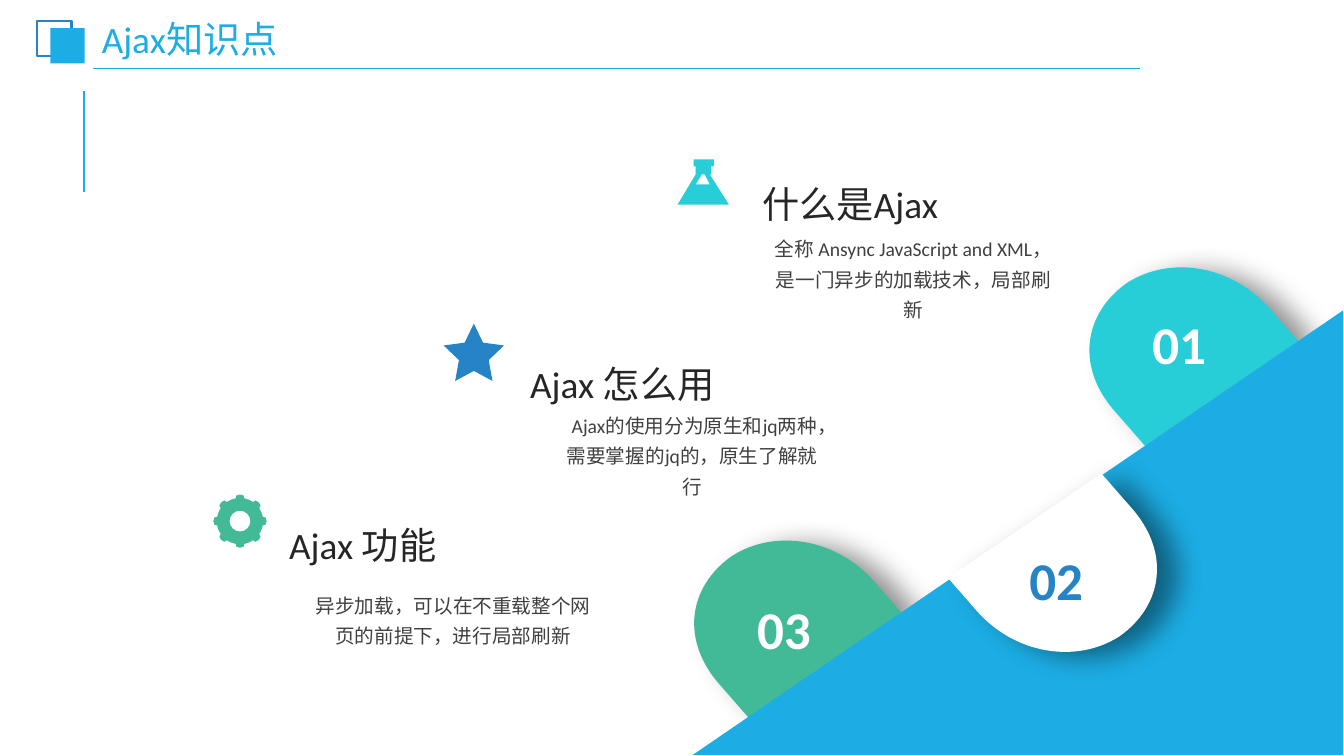
from dataclasses import dataclass
from math import cos, pi, sin

from lxml import etree
from pptx import Presentation
from pptx.dml.color import RGBColor
from pptx.enum.shapes import MSO_CONNECTOR, MSO_SHAPE
from pptx.enum.text import MSO_ANCHOR, MSO_AUTO_SIZE, PP_ALIGN
from pptx.oxml import parse_xml
from pptx.oxml.ns import nsdecls, qn
from pptx.util import Inches, Pt

Point = tuple[float, float]
Segment = tuple[Point, ...]  # one point: line; three points: cubic curve
Contour = list[Segment]      # the first segment is the starting point

COLOURS = {
    "sky": "1CADE4", "blue": "2683C6", "teal": "27CED7", "green": "42BA97",
    "white": "FFFFFF", "heading": "262626", "body": "404040",
}

# Slide grid: 133.3 columns by 75 rows of square cells
prs = Presentation()
prs.slide_width, prs.slide_height = Inches(13.33), Inches(7.5)
CELL = prs.slide_height / 75
s = prs.slides.add_slide(prs.slide_layouts[6])


@dataclass
class Topic:
    heading: str
    heading_at: tuple[float, float, float, float]
    body: str
    body_at: tuple[float, float, float, float]


@dataclass
class Drop:
    col: float
    row: float
    angle: float
    colour: str


@dataclass
class Number:
    text: str
    col: float
    row: float
    colour: str
    fill: str | None = None


TOPICS = [
    Topic("什么是Ajax", (74.6, 16.6, 32.9, 6),
          "全称 Ansync JavaScript and XML，是一门异步的加载技术，局部刷新",
          (75.5, 22.4, 30.2, 9.9)),
    Topic("Ajax 怎么用", (51.6, 34.5, 34, 6),
          " Ajax的使用分为原生和jq两种，需要掌握的jq的，原生了解就行",
          (54.9, 39.95, 27.5, 9.9)),
    Topic("Ajax 功能", (27.7, 50.45, 35.5, 6),
          "异步加载，可以在不重载整个网页的前提下，进行局部刷新",
          (30.3, 57.8, 29.3, 6.8)),
]
BACK_DROPS = [Drop(106.9, 25.6, 187.6, "teal"), Drop(67.7, 52.7, 187.6, "green")]
FRONT_DROP = Drop(94.3, 46.5, 7.6, "white")
NUMBERS = [
    Number("01", 113.3, 30.4, "white"),
    Number("02", 101.1, 53.8, "blue", "white"),
    Number("03", 74.1, 58.7, "white"),
]


def cells(n: float) -> int:
    return round(n * CELL)


def rgb(name: str) -> RGBColor:
    return RGBColor.from_string(COLOURS[name])


def paint(shape, fill: str | None = None, line: str | None = None, weight: float = 1):
    shape.shadow.inherit = False
    if fill:
        shape.fill.solid()
        shape.fill.fore_color.rgb = rgb(fill)
    else:
        shape.fill.background()
    if line:
        shape.line.color.rgb = rgb(line)
        shape.line.width = Pt(weight)
    else:
        shape.line.fill.background()
    return shape


def add_rect(at: tuple, **look):
    return paint(s.shapes.add_shape(MSO_SHAPE.RECTANGLE, *map(cells, at)), **look)


def add_rule(x1: float, y1: float, x2: float, y2: float, weight: float) -> None:
    rule = s.shapes.add_connector(MSO_CONNECTOR.STRAIGHT, *map(cells, (x1, y1, x2, y2)))
    rule.line.color.rgb = rgb("sky")
    rule.line.width = Pt(weight)
    etree.SubElement(rule._element.spPr, qn("a:effectLst"))


def add_outline(contours: list[Contour], fill: str):
    corners = [(cells(x), cells(y)) for c in contours for seg in c for x, y in seg]
    fb = s.shapes.build_freeform(*corners[0], scale=1.0)
    fb.add_line_segments(corners[1:], close=True)
    shape = fb.convert_to_shape()
    outline = shape._element.spPr.find(".//" + qn("a:path"))
    for step in list(outline):
        outline.remove(step)
    for c in contours:
        for i, seg in enumerate(c):
            tag = "a:cubicBezTo" if len(seg) == 3 else "a:lnTo" if i else "a:moveTo"
            step = etree.SubElement(outline, qn(tag))
            for x, y in seg:
                etree.SubElement(step, qn("a:pt"), x=str(cells(x) - shape.left),
                                 y=str(cells(y) - shape.top))
        etree.SubElement(outline, qn("a:close"))
    return paint(shape, fill)


def lines(*points: Point) -> Contour:
    return [(p,) for p in points]


def polar(centre: Point, radius: float, angle: float) -> Point:
    return centre[0] + radius * cos(angle), centre[1] + radius * sin(angle)


def write(text: str, *, at: tuple = (), shape=None, size: float, colour: str,
          bold: bool = False, align=PP_ALIGN.LEFT, spacing: float = 1,
          anchor=MSO_ANCHOR.TOP, margins: Point = (1, 0.5), grow: bool = True) -> None:
    tf = (shape or s.shapes.add_textbox(*map(cells, at))).text_frame
    tf.word_wrap = True
    tf.auto_size = MSO_AUTO_SIZE.SHAPE_TO_FIT_TEXT if grow else MSO_AUTO_SIZE.NONE
    tf.vertical_anchor = anchor
    tf.margin_left = tf.margin_right = cells(margins[0])
    tf.margin_top = tf.margin_bottom = cells(margins[1])
    p = tf.paragraphs[0]
    p.alignment, p.line_spacing = align, spacing
    r = p.add_run()
    r.text = text
    r.font.name, r.font.size, r.font.bold = "Calibri", Pt(size), bold
    r.font.color.rgb = rgb(colour)


def add_drop(drop: Drop) -> None:
    outline = [((0, 12.3),), ((3.2, 15.1),),
               ((7.5, 18.9), (13.7, 19.1), (17.6, 15.8)),
               ((21.5, 12.2), (21.6, 6.8), (17, 2.9)), ((13.7, 0),)]
    shape = add_outline([[tuple((drop.col + x, drop.row + y) for x, y in seg)
                          for seg in outline]], drop.colour)
    shape.rotation = drop.angle
    effects = shape._element.spPr.find(qn("a:effectLst"))
    effects.append(parse_xml(
        f'<a:outerShdw {nsdecls("a")} blurRad="{Pt(20)}" dist="{Pt(15)}" '
        f'dir="{12 * 60000}" algn="ctr" rotWithShape="0">'
        '<a:srgbClr val="000000"><a:alpha val="43000"/></a:srgbClr></a:outerShdw>'))


def add_flask() -> None:
    body = lines((67.2, 20.3), (72.3, 20.3), (70.4, 17.3), (70.5, 17.3), (70.5, 16.5),
                 (70.8, 16.5), (70.8, 15.8), (68.8, 15.8), (68.8, 16.5), (69, 16.5),
                 (69, 17.3))
    window = lines((69.6, 17.3), (69.9, 17.3), (70.4, 18.3), (69, 18.3))
    add_outline([body, window], "teal")


def add_star() -> None:
    add_outline([lines(*(polar((47, 35.25), (3.15, 1.55)[i % 2], (i / 5 - 0.5) * pi)
                         for i in range(10)))], "blue")


def add_gear(teeth: int = 8) -> None:
    def at(radius: float, angle: float) -> Point:
        return polar((23.8, 51.7), radius, angle)

    pitch, half = 2 * pi / teeth, 0.19
    rim = [(at(2.3, -half),)]
    for a in (k * pitch for k in range(teeth)):
        valley = pitch - 2 * half
        rim.append((at(2.83, a - 0.22), at(2.83, a + 0.22), at(2.3, a + half)))
        rim.append((at(2.32, a + half + valley / 3), at(2.32, a + half + valley * 2 / 3),
                    at(2.3, a + pitch - half)))
    hole = [(at(1.03, 0),)]
    for a in (-k * pi / 2 for k in range(4)):
        hole.append((at(1.18, a - 0.5), at(1.18, a - pi / 2 + 0.5), at(1.03, a - pi / 2)))
    add_outline([rim, hole], "green")


# Title bar
add_rule(8.3, 19, 8.3, 9, 1.5)
add_rule(9.2, 6.8, 113.1, 6.8, 1.25)
add_rect((3.7, 2.1, 3.4, 3.5), line="blue", weight=1.5)
add_rect((5, 2.8, 3.4, 3.5), fill="sky")
write("Ajax知识点", at=(9.4, 2.3, 39.3, 3.7), size=26.6, colour="sky", spacing=0.9,
      anchor=MSO_ANCHOR.MIDDLE, margins=(0.7, 0.4), grow=False)

# Slope and drops
for drop in BACK_DROPS:
    add_drop(drop)
add_outline([lines((68.7, 74.9), (133.2, 74.9), (133.2, 30.8))], "sky")
add_drop(FRONT_DROP)

# Icons
add_flask()
add_star()
add_gear()

# Topics
for t in TOPICS:
    write(t.body, at=t.body_at, size=14, colour="body", align=PP_ALIGN.CENTER,
          spacing=1.3, margins=(0.9, 0.4))
    write(t.heading, at=t.heading_at, size=26.6, colour="heading",
          align=PP_ALIGN.JUSTIFY, spacing=1.2)

# Numbers
for n in NUMBERS:
    at = (n.col, n.row, 8.9, 7.4)
    box = add_rect(at, fill=n.fill) if n.fill else None
    write(n.text, at=at, shape=box, size=37.9, colour=n.colour, bold=True)

prs.save("out.pptx")
